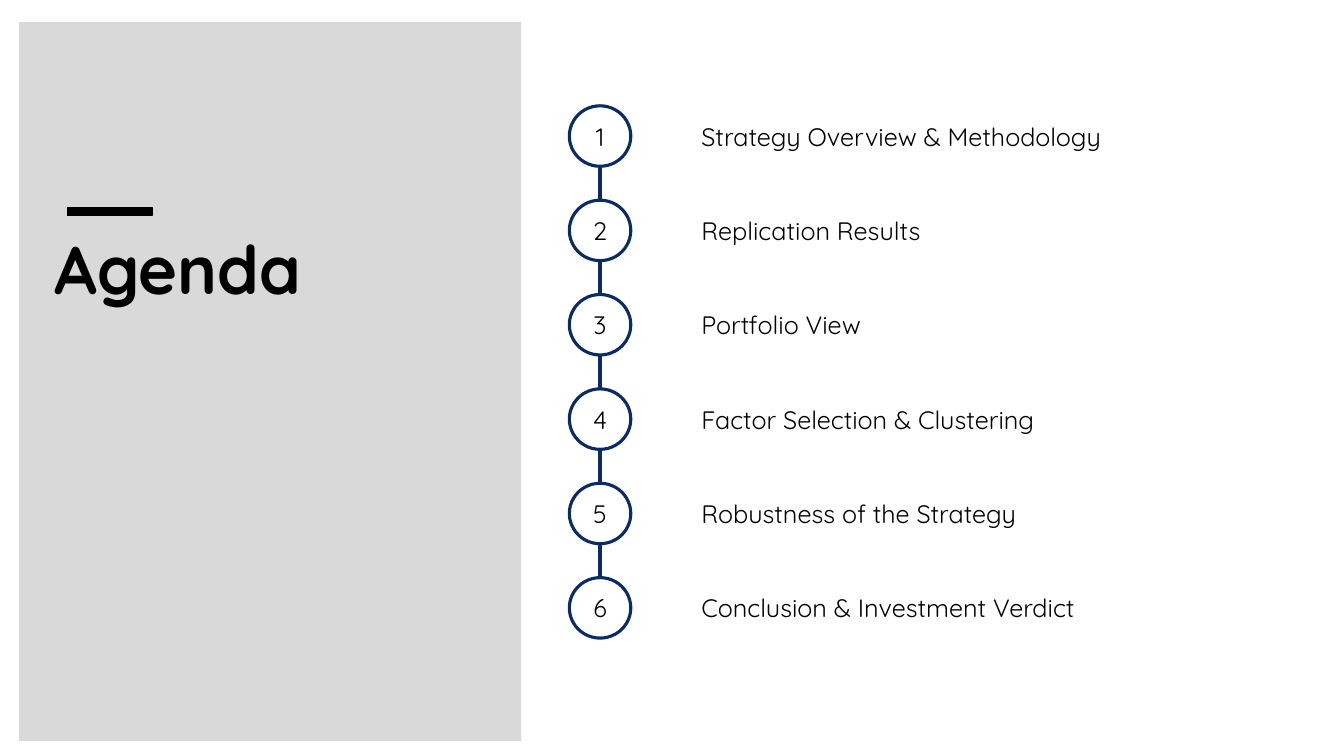
from pptx import Presentation
from pptx.dml.color import RGBColor
from pptx.enum.shapes import MSO_CONNECTOR, MSO_SHAPE
from pptx.enum.text import MSO_ANCHOR, MSO_AUTO_SIZE, PP_ALIGN
from pptx.oxml.ns import qn
from pptx.util import Pt
from lxml.etree import SubElement

COLORS = {"panel": "D9D9D9", "text": "000000", "navy": "0B2B65"}
TOPICS = [
    "Strategy Overview & Methodology",
    "Replication Results",
    "Portfolio View",
    "Factor Selection & Clustering",
    "Robustness of the Strategy",
    "Conclusion & Investment Verdict",
]
TOP, PITCH = 75.6, 67.4
CIRCLE_W, CIRCLE_H, CENTER_X = 43.9, 43.2, 428.6
LABEL_X, LABEL_W, LABEL_H = 493.9, 417.6, 34.6


class AgendaSlide:
    font = "Quicksand"

    def __init__(self, prs):
        self.s = prs.slides.add_slide(prs.slide_layouts[5])

    def color(self, name):
        return RGBColor.from_string(COLORS[name])

    def outline(self, line, color, width):
        line.color.rgb = self.color(color)
        line.width = Pt(width)

    def set_text(self, sp, text, size=18, bold=False, align=PP_ALIGN.LEFT, **frame):
        tf = sp.text_frame
        tf.text = text
        settings = {"word_wrap": True, "auto_size": MSO_AUTO_SIZE.NONE,
                    "vertical_anchor": MSO_ANCHOR.MIDDLE, **frame}
        for name, value in settings.items():
            setattr(tf, name, value)
        p = tf.paragraphs[0]
        p.alignment = align
        r = p.runs[0]
        for name, value in {"name": self.font, "size": Pt(size), "bold": bold}.items():
            setattr(r.font, name, value)
        r.font.color.rgb = self.color("text")

    def shape(self, kind, x, y, w, h, fill=None, line=None, width=1):
        sp = self.s.shapes.add_shape(kind, Pt(x), Pt(y), Pt(w), Pt(h))
        sp.shadow.inherit = False
        if fill:
            sp.fill.solid()
            sp.fill.fore_color.rgb = self.color(fill)
        else:
            sp.fill.background()
        if line:
            self.outline(sp.line, line, width)
        else:
            sp.line.fill.background()
        return sp

    def title(self, text, x, y, w, h, above):
        sp = self.s.shapes.title
        box = {"left": x, "top": y, "width": w, "height": h}
        for name, value in box.items():
            setattr(sp, name, Pt(value))
        margins = {f"margin_{side}": 0 for side in ("left", "top", "right", "bottom")}
        self.set_text(sp, text, 48, True, vertical_anchor=MSO_ANCHOR.TOP, **margins)
        above._element.addnext(sp._element)

    def label(self, text, x, y, w, h):
        sp = self.s.shapes.add_textbox(Pt(x), Pt(y), Pt(w), Pt(h))
        self.set_text(sp, text)

    def number(self, text, x, y, w, h):
        sp = self.shape(MSO_SHAPE.OVAL, x, y, w, h, line="navy", width=2.25)
        self.set_text(sp, text, align=PP_ALIGN.CENTER, word_wrap=False)

    def link(self, x, y1, y2):
        cxn = self.s.shapes.add_connector(
            MSO_CONNECTOR.STRAIGHT, Pt(x), Pt(y1), Pt(x), Pt(y2))
        self.outline(cxn.line, "navy", 2.25)
        SubElement(cxn._element.spPr, qn("a:effectLst"))


def main():
    prs = Presentation()
    prs.slide_width, prs.slide_height = Pt(960), Pt(540)
    agenda = AgendaSlide(prs)
    panel = agenda.shape(MSO_SHAPE.RECTANGLE, 13.7, 15.8, 358.6, 513.4, "panel")
    agenda.title("Agenda", 38.9, 162.7, 204.5, 49, panel)
    agenda.shape(MSO_SHAPE.RECTANGLE, 48.2, 148.3, 60.5, 5.8, "text", "text")
    for i, topic in enumerate(TOPICS):
        y = TOP + i * PITCH
        agenda.number(str(i + 1), CENTER_X - CIRCLE_W / 2, y, CIRCLE_W, CIRCLE_H)
        agenda.label(topic, LABEL_X, y + (CIRCLE_H - LABEL_H) / 2, LABEL_W, LABEL_H)
        if i:
            agenda.link(CENTER_X, y - PITCH + CIRCLE_H, y)
    prs.save("out.pptx")


if __name__ == "__main__":
    main()
